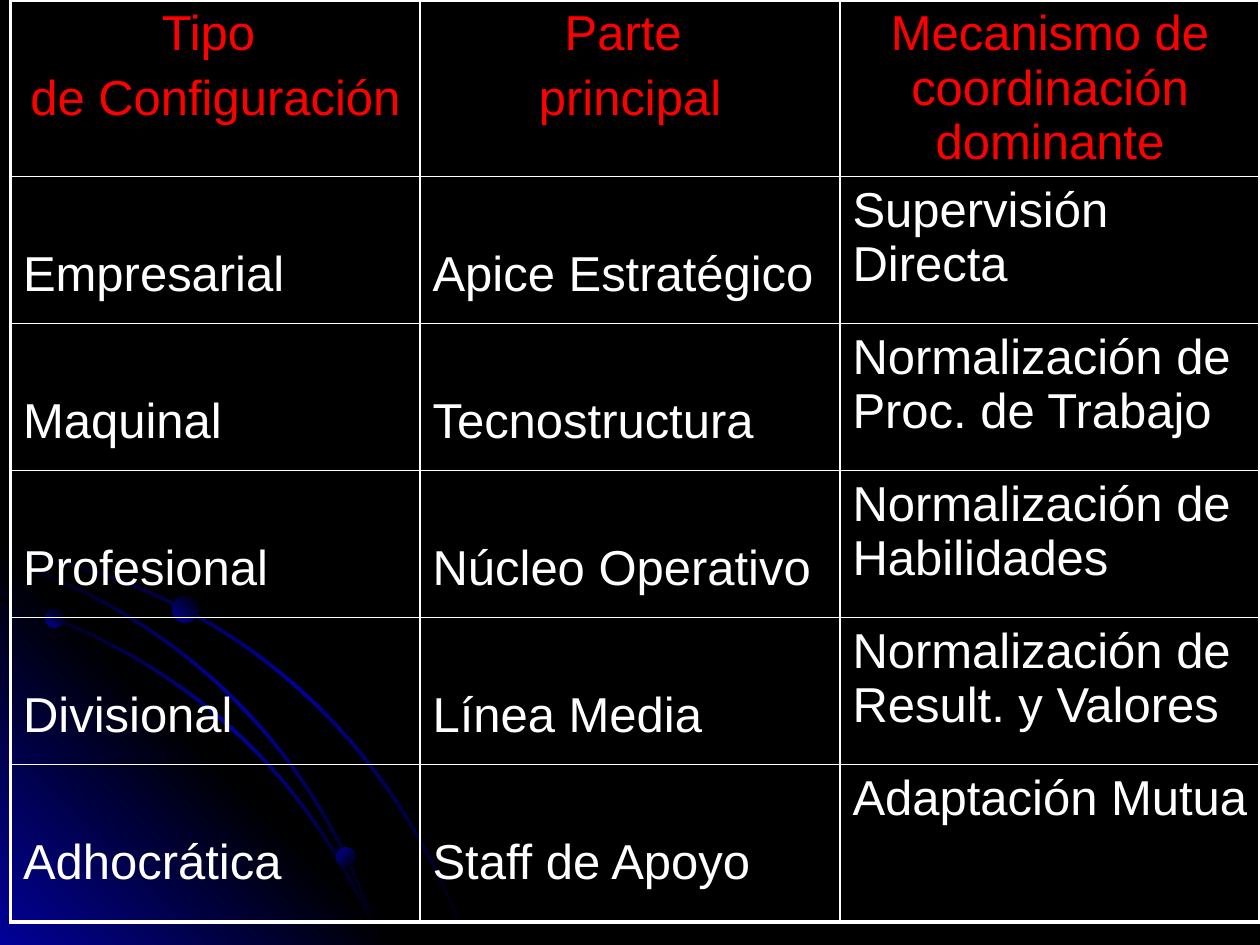
"""Build a slide with a table of organisational configurations over blue orbits."""
import dataclasses

import lxml.etree
import pptx
import pptx.dml.color
import pptx.enum.shapes
import pptx.enum.text
import pptx.oxml.ns
import pptx.util

SCALE = 7620
SLIDE_WIDTH, SLIDE_HEIGHT = 1200, 900
COLORS = {"black": "000000", "blue": "010199", "red": "FF0000", "white": "FFFFFF"}
FONT_NAME = "Arial"
FONT_SIZE = 28
PARAGRAPH_GAP = 5.6
LOWERED_MARGIN = 67
THIN, THICK = 1, 2.25

TABLE_LEFT = 10
COLUMN_WIDTHS = [390, 400, 400]
HEADER_HEIGHT, ROW_HEIGHT, LAST_HEIGHT = 168, 140, 150
HEADERS = ["Tipo \nde Configuración", "Parte \nprincipal", "Mecanismo de coordinación dominante"]
CONFIGURATIONS = [
    ["Empresarial", "Apice Estratégico", "Supervisión Directa"],
    ["Maquinal", "Tecnostructura", "Normalización de Proc. de Trabajo"],
    ["Profesional", "Núcleo Operativo", "Normalización de Habilidades"],
    ["Divisional", "Línea Media", "Normalización de Result. y Valores"],
    ["Adhocrática", "Staff de Apoyo", "Adaptación Mutua"],
]

GLOW_SIZE = 387
ORBIT_STEPS = 24
ORBIT_HALF_WIDTH = 1


@dataclasses.dataclass
class Orbit:
    """A Bezier curve in px and the planet at one fraction of its course."""

    start: tuple
    first_control: tuple
    second_control: tuple
    end: tuple
    planet_fraction: float
    planet_size: int
    planet_angle: int

    def point(self, fraction):
        """Return the point at a fraction of the curve."""
        rest = 1 - fraction
        weights = [rest**3, 3 * rest**2 * fraction, 3 * rest * fraction**2, fraction**3]
        knots = [self.start, self.first_control, self.second_control, self.end]
        return tuple(
            sum(weight * knot[axis] for weight, knot in zip(weights, knots))
            for axis in (0, 1)
        )


ORBITS = [
    Orbit((0, 523), (192, 552), (366, 678), (445, 899), 0.32, 25, 315),
    Orbit((0, 571), (144, 614), (288, 714), (362, 899), 0.12, 18, 315),
    Orbit((0, 532), (138, 574), (298, 688), (362, 899), 0.86, 19, 45),
]


def px(length):
    """Turn a length in px into EMU."""
    return pptx.util.Emu(length * SCALE)


def color(name):
    """Return the named colour."""
    return pptx.dml.color.RGBColor.from_string(COLORS[name])


def add_element(parent, tag, **attributes):
    """Append a drawing element to its parent and return it."""
    element = lxml.etree.SubElement(parent, pptx.oxml.ns.qn(tag))
    for name, value in attributes.items():
        element.set(name, str(value))
    return element


def paint_gradient(shape, stops, angle):
    """Fill a shape with evenly spaced gradient stops and no outline."""
    shape.shadow.inherit = False
    shape.line.fill.background()
    shape.fill.gradient()
    gradient = shape._element.spPr.find(pptx.oxml.ns.qn("a:gradFill"))
    for child in list(gradient):
        gradient.remove(child)
    stop_list = add_element(gradient, "a:gsLst")
    for index, name in enumerate(stops):
        stop = add_element(stop_list, "a:gs", pos=index * 100000 // (len(stops) - 1))
        add_element(stop, "a:srgbClr", val=COLORS[name])
    add_element(gradient, "a:lin", ang=angle * 60000, scaled=0)


def add_preset(slide, preset, left, top, size, stops, angle):
    """Draw a preset shape of equal width and height with a gradient."""
    shape = slide.shapes.add_shape(preset, px(left), px(top), px(size), px(size))
    paint_gradient(shape, stops, angle)


def add_corner_glow(slide):
    """Draw the glowing triangle in the lower left corner."""
    add_preset(
        slide, pptx.enum.shapes.MSO_SHAPE.RIGHT_TRIANGLE, 0, SLIDE_HEIGHT - GLOW_SIZE,
        GLOW_SIZE, ["blue", "black", "blue"], 315,
    )


def add_orbit(slide, orbit):
    """Draw an orbit as a thin band around its curve."""
    curve = [orbit.point(step / ORBIT_STEPS) for step in range(ORBIT_STEPS + 1)]
    upper, lower = (
        [(max(0, x + shift), y - shift) for x, y in curve]
        for shift in (ORBIT_HALF_WIDTH, -ORBIT_HALF_WIDTH)
    )
    outline = [(round(x * SCALE), round(y * SCALE)) for x, y in upper + lower[::-1]]
    builder = slide.shapes.build_freeform(*outline[0])
    builder.add_line_segments(outline[1:], close=True)
    paint_gradient(builder.convert_to_shape(), ["black", "blue", "black"], 45)


def add_planet(slide, orbit):
    """Draw the planet centred on its orbit."""
    size = orbit.planet_size
    left, top = (round(centre - size / 2) for centre in orbit.point(orbit.planet_fraction))
    add_preset(
        slide, pptx.enum.shapes.MSO_SHAPE.OVAL, left, top, size,
        ["blue", "black"], orbit.planet_angle,
    )


def set_borders(cell, widths):
    """Give a cell white borders, with one width in points for each side."""
    properties = cell._tc.get_or_add_tcPr()
    for index, (side, width) in enumerate(widths.items()):
        line = add_element(properties, f"a:ln{side}", w=int(pptx.util.Pt(width)))
        fill = add_element(line, "a:solidFill")
        add_element(fill, "a:srgbClr", val=COLORS["white"])
        properties.insert(index, line)


def write_cell(cell, text, is_header):
    """Write and format the paragraphs of a cell."""
    cell.text = text
    for paragraph in cell.text_frame.paragraphs:
        paragraph.space_before = pptx.util.Pt(PARAGRAPH_GAP)
        paragraph.font.name = FONT_NAME
        paragraph.font.size = pptx.util.Pt(FONT_SIZE)
        paragraph.font.color.rgb = color("red" if is_header else "white")
        if is_header:
            paragraph.alignment = pptx.enum.text.PP_ALIGN.CENTER


def add_configuration_table(slide):
    """Add the table with thick outer and thin inner borders."""
    rows = [HEADERS] + CONFIGURATIONS
    last_row, last_column = len(rows) - 1, len(COLUMN_WIDTHS) - 1
    heights = [HEADER_HEIGHT] + [ROW_HEIGHT] * (last_row - 1) + [LAST_HEIGHT]
    table = slide.shapes.add_table(
        len(rows), len(COLUMN_WIDTHS), px(TABLE_LEFT), px(0),
        px(sum(COLUMN_WIDTHS)), px(sum(heights)),
    ).table
    table.first_row = table.horz_banding = False
    for column, width in zip(table.columns, COLUMN_WIDTHS):
        column.width = px(width)
    for row_index, texts in enumerate(rows):
        table.rows[row_index].height = px(heights[row_index])
        for column_index, text in enumerate(texts):
            cell = table.cell(row_index, column_index)
            cell.fill.background()
            write_cell(cell, text, row_index == 0)
            if row_index > 0 and column_index < last_column:
                cell.margin_top = px(LOWERED_MARGIN)
            set_borders(cell, {
                "L": THICK if column_index == 0 else THIN,
                "R": THICK if column_index == last_column else THIN,
                "T": THICK if row_index == 0 else THIN,
                "B": THICK if row_index == last_row else THIN,
            })


def main():
    """Build the slide and save it."""
    presentation = pptx.Presentation()
    presentation.slide_width, presentation.slide_height = px(SLIDE_WIDTH), px(SLIDE_HEIGHT)
    slide = presentation.slides.add_slide(presentation.slide_layouts[6])
    slide.background.fill.solid()
    slide.background.fill.fore_color.rgb = color("black")
    add_corner_glow(slide)
    for add_part in (add_orbit, add_planet):
        for orbit in ORBITS:
            add_part(slide, orbit)
    add_configuration_table(slide)
    presentation.save("out.pptx")


if __name__ == "__main__":
    main()
